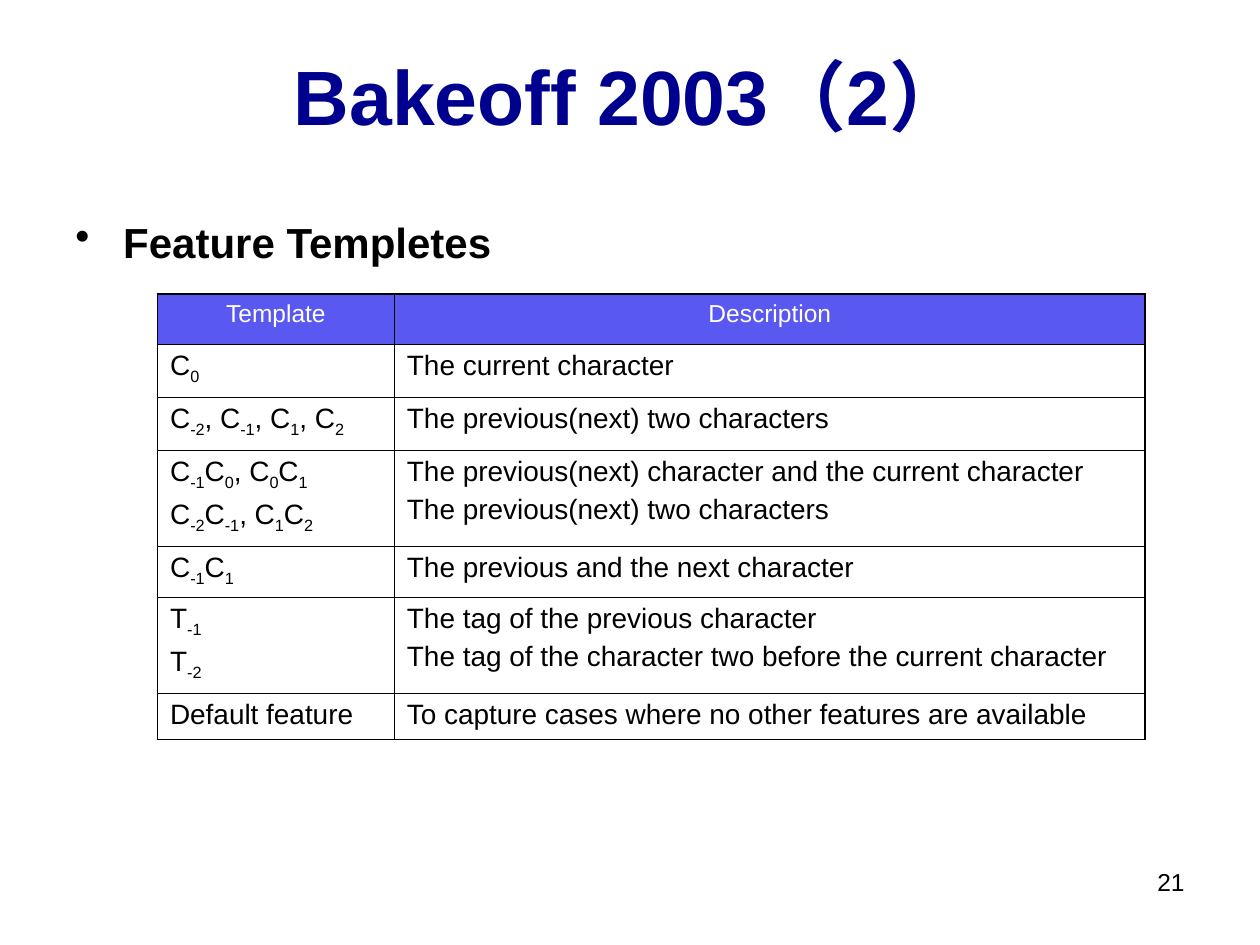
import dataclasses

import pptx
import pptx.dml.color
import pptx.enum.text
import pptx.oxml
import pptx.oxml.ns
import pptx.util

ALIGN = pptx.enum.text.PP_ALIGN
ANCHOR = pptx.enum.text.MSO_ANCHOR


@dataclasses.dataclass(frozen=True)
class Theme:
    font: str = "Arial"
    title: str = "00008E"
    ink: str = "000000"
    header_fill: str = "5959F1"
    header_ink: str = "FFFFFF"
    title_size: int = 44
    bullet_size: int = 24
    cell_size: int = 16
    small_size: int = 14
    outer_line: float = 1.08
    inner_line: float = 0.45


class SlideBuilder:
    """Places elements on a grid of 120 columns by 90 rows."""

    COLUMNS, ROWS = 120, 90

    def __init__(self, presentation, theme):
        self.theme = theme
        self.column = presentation.slide_width / self.COLUMNS
        self.row = presentation.slide_height / self.ROWS
        self.slide = presentation.slides.add_slide(presentation.slide_layouts[6])

    def box(self, left, top, width, height):
        return (round(left * self.column), round(top * self.row),
                round(width * self.column), round(height * self.row))

    def fill_paragraph(self, paragraph, text, size, color, bold=False,
                       align=ALIGN.LEFT, before=0):
        """Fill a paragraph; parts in square brackets become subscripts."""
        paragraph.alignment = align
        paragraph.space_before = pptx.util.Pt(before)
        paragraph.font.name = self.theme.font
        paragraph.font.size = pptx.util.Pt(size)
        paragraph.font.bold = bold
        paragraph.font.color.rgb = pptx.dml.color.RGBColor.from_string(color)
        for index, part in enumerate(text.replace("]", "[").split("[")):
            if part:
                run = paragraph.add_run()
                run.text = part
                if index % 2:
                    run._r.get_or_add_rPr().set("baseline", "-25000")

    def text(self, area, text, size, color, anchor=ANCHOR.TOP, **style):
        frame = self.slide.shapes.add_textbox(*self.box(*area)).text_frame
        frame.word_wrap = True
        frame.vertical_anchor = anchor
        self.fill_paragraph(frame.paragraphs[0], text, size, color, **style)
        return frame.paragraphs[0]

    def bullet(self, area, text, size, color, **style):
        paragraph = self.text(area, text, size, color, **style)
        properties = paragraph._p.get_or_add_pPr()
        indent = pptx.util.Inches(0.38)
        properties.set("marL", str(indent))
        properties.set("indent", str(-indent))
        bullet = pptx.oxml.parse_xml(
            f'<a:buChar {pptx.oxml.ns.nsdecls("a")} char="•"/>')
        properties.find(pptx.oxml.ns.qn("a:defRPr")).addprevious(bullet)

    def border(self, cell, side, points):
        cell._tc.get_or_add_tcPr().append(pptx.oxml.parse_xml(
            f'<a:ln{side} {pptx.oxml.ns.nsdecls("a")} w="{pptx.util.Pt(points)}">'
            f'<a:solidFill><a:srgbClr val="{self.theme.ink}"/></a:solidFill></a:ln{side}>'))

    def table(self, area, rows, widths, heights):
        theme = self.theme
        last_row, last_column = len(rows) - 1, len(widths) - 1
        table = self.slide.shapes.add_table(len(rows), len(widths), *self.box(*area)).table
        table.first_row = table.horz_banding = False
        for column, width in zip(table.columns, widths):
            column.width = pptx.util.Inches(width)
        for row, height in zip(table.rows, heights):
            row.height = pptx.util.Inches(height)

        for i, row in enumerate(rows):
            for j, lines in enumerate(row):
                cell = table.cell(i, j)
                outer_sides = {"L": j == 0, "R": j == last_column,
                               "T": i == 0, "B": i == last_row}
                for side, outer in outer_sides.items():
                    self.border(cell, side, theme.outer_line if outer else theme.inner_line)
                if i == 0:
                    cell.fill.solid()
                    cell.fill.fore_color.rgb = pptx.dml.color.RGBColor.from_string(
                        theme.header_fill)
                    style = dict(size=theme.small_size, color=theme.header_ink,
                                 align=ALIGN.CENTER, before=3.5)
                else:
                    cell.fill.background()
                    style = dict(size=theme.cell_size, color=theme.ink, before=4)
                frame = cell.text_frame
                for k, line in enumerate(lines.split("\n")):
                    paragraph = frame.add_paragraph() if k else frame.paragraphs[0]
                    self.fill_paragraph(paragraph, line, **style)


FEATURES = [
    ("Template", "Description"),
    ("C[0]", "The current character"),
    ("C[-2], C[-1], C[1], C[2]", "The previous(next) two characters"),
    ("C[-1]C[0], C[0]C[1]\nC[-2]C[-1], C[1]C[2]",
     "The previous(next) character and the current character\n"
     "The previous(next) two characters"),
    ("C[-1]C[1]", "The previous and the next character"),
    ("T[-1]\nT[-2]",
     "The tag of the previous character\n"
     "The tag of the character two before the current character"),
    ("Default feature", "To capture cases where no other features are available"),
]


def main():
    presentation = pptx.Presentation()
    presentation.slide_width = pptx.util.Inches(10)
    presentation.slide_height = pptx.util.Inches(7.5)
    theme = Theme()
    builder = SlideBuilder(presentation, theme)

    # Slide number
    builder.text((86, 82, 28, 6), "21", theme.small_size, theme.ink, align=ALIGN.RIGHT)

    # Title and heading
    builder.text((0, 3, 120, 12), "Bakeoff 2003（2）", theme.title_size, theme.title,
                 anchor=ANCHOR.MIDDLE, bold=True, align=ALIGN.CENTER)
    builder.bullet((6, 20, 43, 6), "Feature Templetes", theme.bullet_size, theme.ink,
                   bold=True, before=12)

    # Feature table
    builder.table((15, 28, 94, 41), FEATURES, widths=(1.88, 5.96),
                  heights=(0.4, 0.42, 0.42, 0.72, 0.39, 0.72, 0.35))

    presentation.save("out.pptx")


if __name__ == "__main__":
    main()
